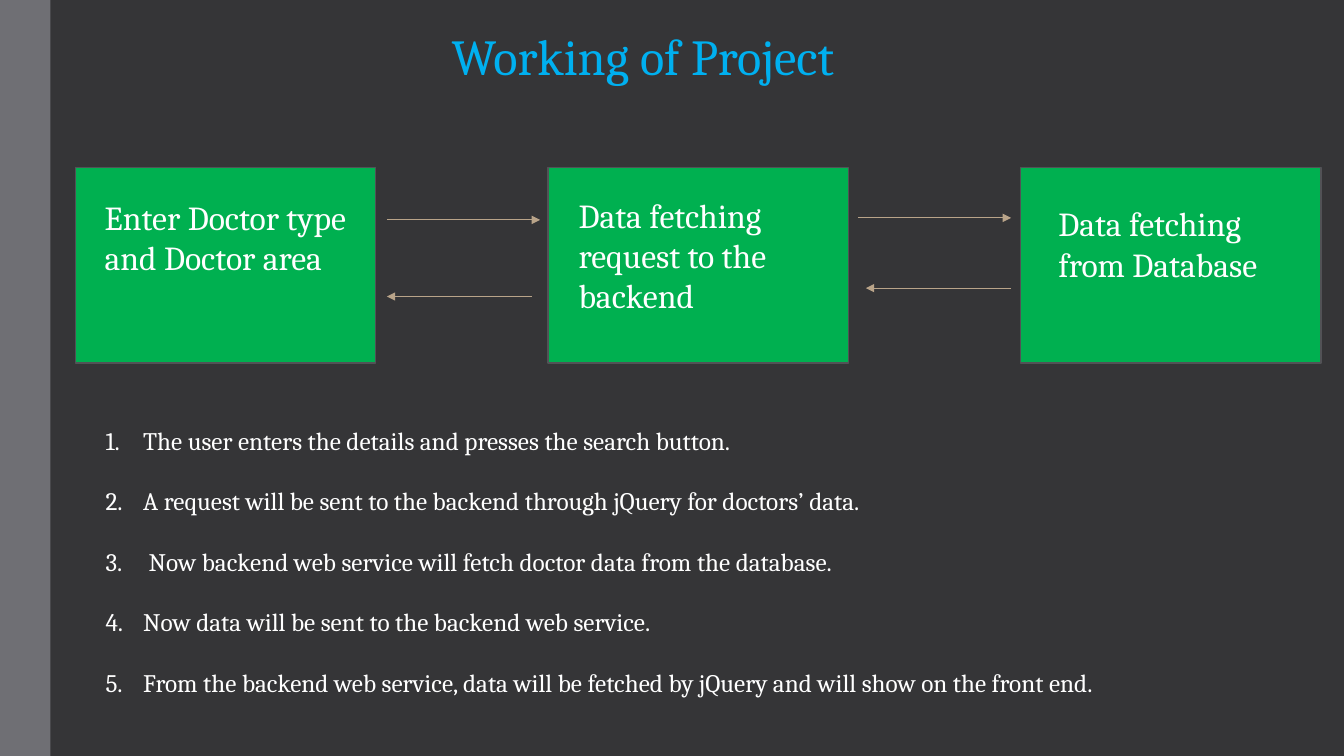
"""Build the project workflow slide with three stages and a numbered explanation."""
from lxml.etree import SubElement
from pptx import Presentation
from pptx.dml.color import RGBColor
from pptx.enum.shapes import MSO_CONNECTOR, MSO_SHAPE
from pptx.enum.text import MSO_ANCHOR, MSO_AUTO_SIZE, PP_ALIGN
from pptx.oxml.ns import qn
from pptx.util import Cm, Pt

TITLE = "Working of Project"
STAGES = [
    {"text": "Enter Doctor type and Doctor area", "at": (2.39, 4.83), "width": 6.58},
    {"text": "Data fetching request to the backend", "at": (14.33, 4.78), "width": 6.2},
    {"text": "Data fetching from Database", "at": (26.42, 5), "width": 6.2},
]
ARROWS = [
    {"start": 9.75, "end": 13.61, "y": 5.54},
    {"start": 21.62, "end": 25.48, "y": 5.49},
    {"start": 25.48, "end": 21.82, "y": 7.26},
    {"start": 13.41, "end": 9.75, "y": 7.47},
]
STEPS = [
    "The user enters the details and presses the search button.",
    "A request will be sent to the backend through jQuery for doctors’ data.",
    " Now backend web service will fetch doctor data from the database.",
    "Now data will be sent to the backend web service.",
    "From the backend web service, data will be fetched by jQuery and will show on the front end.",
]
COLORS = {
    "background": "353537", "band": "6F6F74", "title": "00B0F0", "stage": "00B050",
    "outline": "525256", "arrow": "B9A489", "text": "FFFFFF",
}
FONT = "Cambria"
SLIDE_WIDTH, SLIDE_HEIGHT = 33.87, 19.05
STAGE_LEFT, STAGE_TOP, STAGE_WIDTH, STAGE_HEIGHT = 1.9, 4.22, 7.57, 4.93
STAGE_PITCH = 11.91
STEP_INDENT = Cm(0.95)


def color(name):
    return RGBColor.from_string(COLORS[name])


def add_box(left, top, width, height, fill, outline=None):
    shape = slide.shapes.add_shape(
        MSO_SHAPE.RECTANGLE, Cm(left), Cm(top), Cm(width), Cm(height))
    shape.shadow.inherit = False
    shape.fill.solid()
    shape.fill.fore_color.rgb = color(fill)
    if outline:
        shape.line.color.rgb = color(outline)
        shape.line.width = Pt(1.1)
    else:
        shape.line.fill.background()


def write_text(shape, texts, size, color_name):
    frame = shape.text_frame
    frame.word_wrap = True
    frame.auto_size = MSO_AUTO_SIZE.NONE
    frame.vertical_anchor = MSO_ANCHOR.TOP
    frame.text = "\n".join(texts)
    for paragraph in frame.paragraphs:
        paragraph.alignment = PP_ALIGN.LEFT
        paragraph.font.name = FONT
        paragraph.font.size = Pt(size)
        paragraph.font.color.rgb = color(color_name)
    return frame.paragraphs


def add_text(left, top, width, height, texts, size):
    box = slide.shapes.add_textbox(Cm(left), Cm(top), Cm(width), Cm(height))
    return write_text(box, texts, size, "text")


def add_arrow(start, end, y):
    connector = slide.shapes.add_connector(
        MSO_CONNECTOR.STRAIGHT, Cm(start), Cm(y), Cm(end), Cm(y))
    connector.line.color.rgb = color("arrow")
    connector.line.width = Pt(0.75)
    SubElement(connector.line._get_or_add_ln(), qn("a:tailEnd"), type="triangle")
    SubElement(connector._element.spPr, qn("a:effectLst"))


def number_paragraph(paragraph):
    properties = paragraph._p.get_or_add_pPr()
    properties.set("marL", str(STEP_INDENT))
    properties.set("indent", str(-STEP_INDENT))
    paragraph.space_after = Pt(21.6)
    font = SubElement(properties, qn("a:buFont"), typeface="+mj-lt")
    numbering = SubElement(properties, qn("a:buAutoNum"), type="arabicPeriod")
    defaults = properties.find(qn("a:defRPr"))
    defaults.addprevious(font)
    defaults.addprevious(numbering)


presentation = Presentation()
presentation.slide_width = Cm(SLIDE_WIDTH)
presentation.slide_height = Cm(SLIDE_HEIGHT)
slide = presentation.slides.add_slide(presentation.slide_layouts[5])
slide.background.fill.solid()
slide.background.fill.fore_color.rgb = color("background")

title = slide.shapes.title
title.left, title.top, title.width, title.height = Cm(11.13), Cm(0.5), Cm(11.6), Cm(1.8)
write_text(title, [TITLE], 36, "title")

add_box(0, 0, 1.27, SLIDE_HEIGHT, "band")
for index, stage in enumerate(STAGES):
    add_box(STAGE_LEFT + index * STAGE_PITCH, STAGE_TOP, STAGE_WIDTH, STAGE_HEIGHT,
            "stage", "outline")
    add_text(*stage["at"], stage["width"], 3.33, [stage["text"]], 24)
for arrow in ARROWS:
    add_arrow(**arrow)
for paragraph in add_text(2.41, 10.59, 30.23, 7.19, STEPS, 18):
    number_paragraph(paragraph)

presentation.save("out.pptx")
